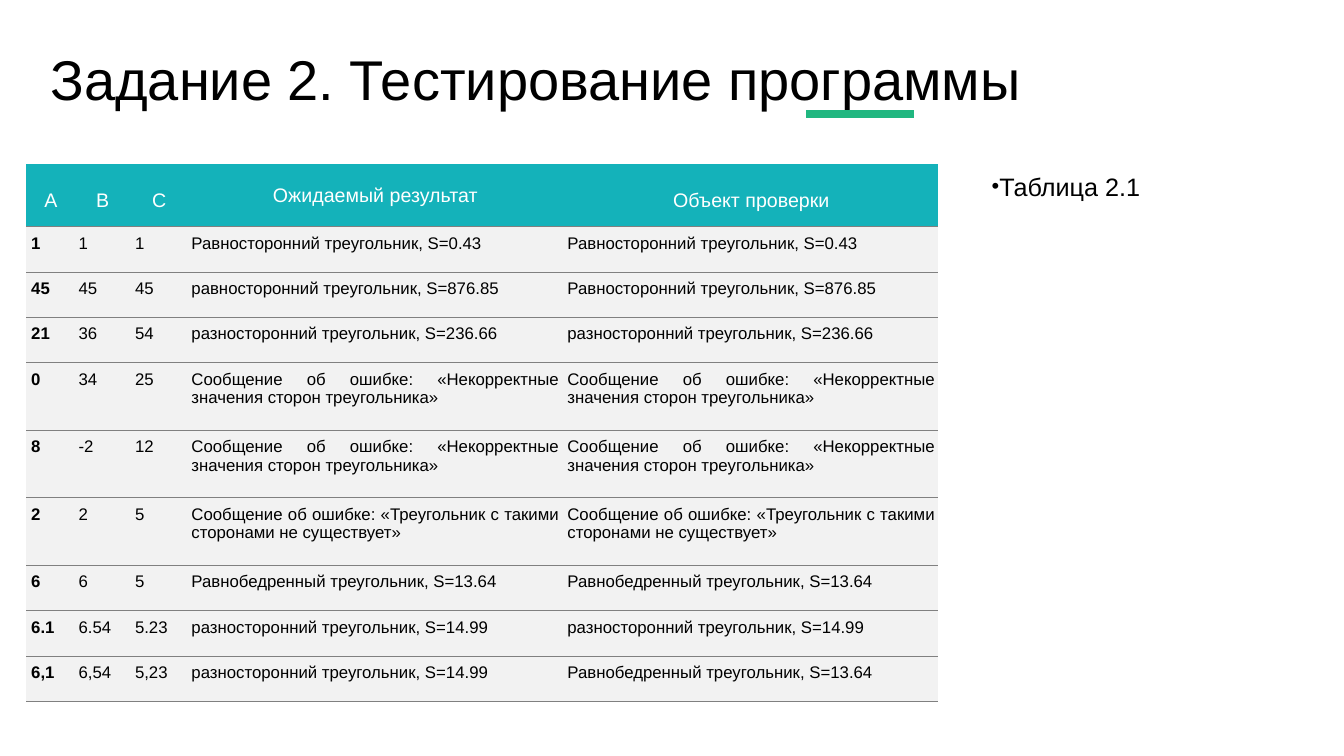
"""Build the slide with the table of triangle program tests."""
from lxml.etree import SubElement
from pptx import Presentation
from pptx.dml.color import RGBColor
from pptx.enum.shapes import MSO_CONNECTOR as Connector
from pptx.enum.text import MSO_ANCHOR as Anchor, PP_ALIGN as Align
from pptx.oxml import parse_xml
from pptx.oxml.ns import nsdecls, qn
from pptx.util import Pt

TITLE = "Задание\u00a02. Тестирование программы".replace("\u00a0", " ")
CAPTION = "Таблица 2.1"
BAD_SIDES = "Сообщение об ошибке: «Некорректные значения сторон треугольника»"
NO_TRIANGLE = "Сообщение об ошибке: «Треугольник c такими сторонами не существует»"
HEADER = ("A", "B", "C", "Ожидаемый результат", "Объект проверки")
TESTS = [
    ("1", "1", "1", "Равносторонний треугольник, S=0.43", "Равносторонний треугольник, S=0.43"),
    ("45", "45", "45", "равносторонний треугольник, S=876.85", "Равносторонний треугольник, S=876.85"),
    ("21", "36", "54", "разносторонний треугольник, S=236.66", "разносторонний треугольник, S=236.66"),
    ("0", "34", "25", BAD_SIDES, BAD_SIDES),
    ("8", "-2", "12", BAD_SIDES, BAD_SIDES),
    ("2", "2", "5", NO_TRIANGLE, NO_TRIANGLE),
    ("6", "6", "5", "Равнобедренный треугольник, S=13.64", "Равнобедренный треугольник, S=13.64"),
    ("6.1", "6.54", "5.23", "разносторонний треугольник, S=14.99", "разносторонний треугольник, S=14.99"),
    ("6,1", "6,54", "5,23", "разносторонний треугольник, S=14.99", "Равнобедренный треугольник, S=13.64"),
]
COLUMN_WIDTHS = (33.84, 40.32, 40.32, 268.56, 268.56)
HEADER_HEIGHT, SHORT_ROW, TALL_ROW = 44.64, 32.4, 48.24
BLACK, WHITE, TEAL, GREEN, PALE, GRAY = "000000", "FFFFFF", "14B2BA", "21B780", "F2F2F2", "808080"
NO_STYLE = "{2D5ABB26-0587-4C30-8999-92F81FD0307C}"


def color(hex_value):
    """Turn a hex string into a colour."""
    return RGBColor.from_string(hex_value)


def format_text(paragraph, size, hex_value, bold=False):
    """Format every run of a paragraph."""
    for run in paragraph.runs:
        run.font.name, run.font.size, run.font.bold = "Arial", Pt(size), bold
        run.font.color.rgb = color(hex_value)


def set_margins(target, left, top, right, bottom):
    """Set the inner margins of a cell or text frame."""
    target.margin_left, target.margin_top = Pt(left), Pt(top)
    target.margin_right, target.margin_bottom = Pt(right), Pt(bottom)


def add_borders(cell, edges):
    """Draw thin gray lines on the given edges of a cell."""
    for position, edge in enumerate(edges):
        cell._tc.get_or_add_tcPr().insert(position, parse_xml(
            f'<a:{edge} {nsdecls("a")} w="{Pt(0.75)}"><a:solidFill>'
            f'<a:srgbClr val="{GRAY}"/></a:solidFill></a:{edge}>'))


def fill_cell(cell, text, row, column):
    """Write and format one table cell."""
    is_header = row == 0
    cell.text_frame.text = text
    set_margins(cell, 3.6, 5.04, 2.16, 5.04)
    cell.vertical_anchor = Anchor.MIDDLE if is_header else Anchor.TOP
    cell.fill.solid()
    cell.fill.fore_color.rgb = color(TEAL if is_header else PALE)
    paragraph = cell.text_frame.paragraphs[0]
    paragraph.alignment = Align.CENTER if is_header else Align.JUSTIFY
    if is_header:
        paragraph.line_spacing = 1.0 if column == 3 else 1.5
        format_text(paragraph, 14, WHITE)
    else:
        format_text(paragraph, 12, BLACK, bold=column == 0)
    add_borders(cell, ("lnB",) if is_header else ("lnT", "lnB"))


def add_title(slide):
    """Place and format the title."""
    title = slide.shapes.title
    title.left, title.top, title.width, title.height = Pt(28.8), Pt(23), Pt(842.4), Pt(107.3)
    frame = title.text_frame
    frame.text = TITLE
    frame.vertical_anchor = Anchor.TOP
    set_margins(frame, 7.2, 9, 7.2, 3.6)
    paragraph = frame.paragraphs[0]
    paragraph.alignment, paragraph.line_spacing = Align.LEFT, 1.0
    format_text(paragraph, 40, BLACK)


def add_caption(slide):
    """Add the bulleted caption beside the table."""
    frame = slide.shapes.add_textbox(Pt(701.3), Pt(114.5), Pt(255.6), Pt(75.6)).text_frame
    frame.word_wrap = True
    frame.text = CAPTION
    paragraph = frame.paragraphs[0]
    paragraph.line_spacing, paragraph.space_after = 1.2, Pt(6)
    format_text(paragraph, 18, BLACK)
    properties = paragraph._p.get_or_add_pPr()
    SubElement(properties, qn("a:buSzPct")).set("val", "87000")
    SubElement(properties, qn("a:buFont")).set("typeface", "Arial")
    SubElement(properties, qn("a:buChar")).set("char", "•")


def add_accent(slide):
    """Add the green line below the title."""
    accent = slide.shapes.add_connector(Connector.STRAIGHT, Pt(576), Pt(81.4), Pt(653), Pt(81.4))
    accent.line.color.rgb = color(GREEN)
    accent.line.width = Pt(6)
    SubElement(accent._element.spPr, qn("a:effectLst"))


def add_test_table(slide):
    """Add the table of test cases."""
    rows = [HEADER, *TESTS]
    heights = [HEADER_HEIGHT] + [
        TALL_ROW if test[3] in (BAD_SIDES, NO_TRIANGLE) else SHORT_ROW for test in TESTS]
    table = slide.shapes.add_table(
        len(rows), len(HEADER), Pt(18.72), Pt(117.36),
        Pt(sum(COLUMN_WIDTHS)), Pt(sum(heights))).table
    table._tbl.tblPr.find(qn("a:tableStyleId")).text = NO_STYLE
    table.horz_banding = False
    for column, width in zip(table.columns, COLUMN_WIDTHS):
        column.width = Pt(width)
    for row, height in zip(table.rows, heights):
        row.height = Pt(height)
    for row, texts in enumerate(rows):
        for column, text in enumerate(texts):
            fill_cell(table.cell(row, column), text, row, column)


def main():
    """Build and save the presentation."""
    presentation = Presentation()
    presentation.slide_width, presentation.slide_height = Pt(960), Pt(540)
    slide = presentation.slides.add_slide(presentation.slide_layouts[5])
    add_title(slide)
    add_caption(slide)
    add_accent(slide)
    add_test_table(slide)
    presentation.save("out.pptx")


if __name__ == "__main__":
    main()
